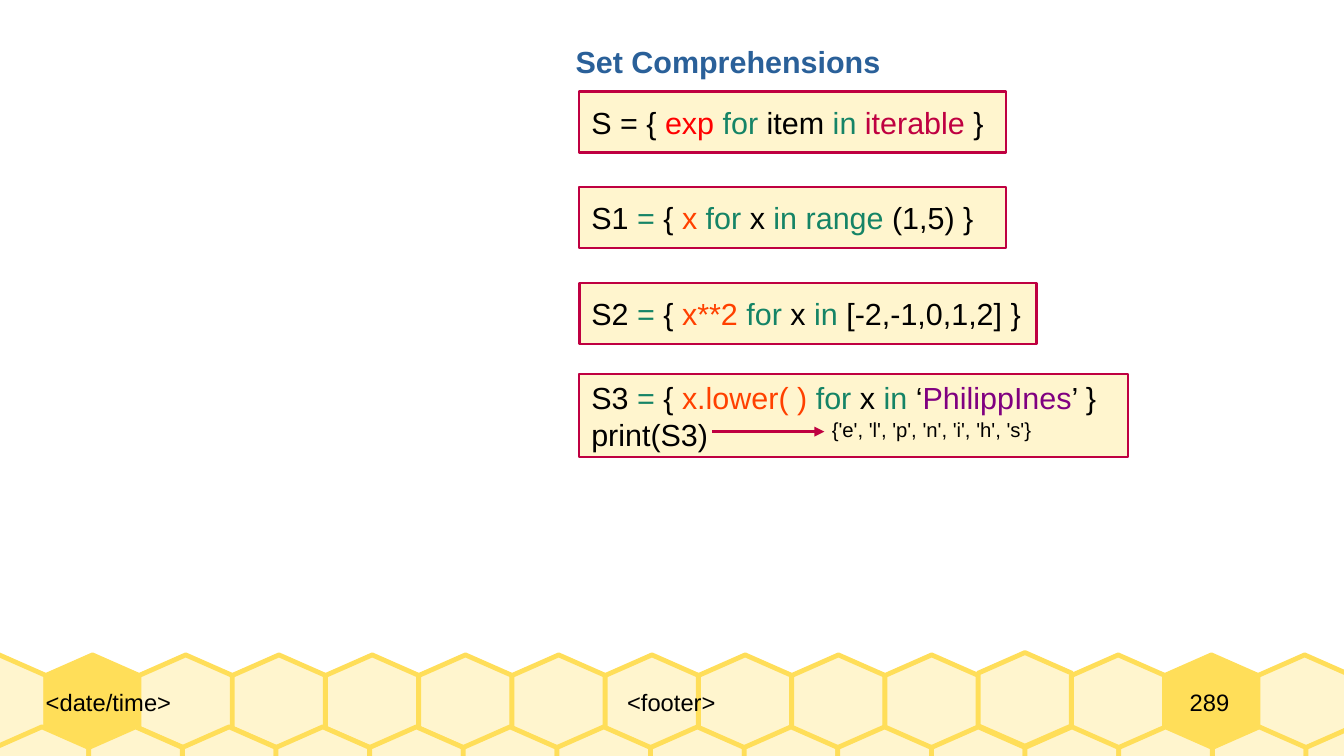
import pptx
import pptx.dml.color
import pptx.enum.shapes
import pptx.enum.text
import pptx.oxml
import pptx.oxml.ns
import pptx.util

Pt = pptx.util.Pt
ALIGN = pptx.enum.text.PP_ALIGN
ANCHOR = pptx.enum.text.MSO_ANCHOR

COLORS = {
    "black": "000000",
    "title": "2A6099",
    "cream": "FFF5CE",
    "honey": "FFDE59",
    "crimson": "BF0041",
    "red": "FF0000",
    "green": "158466",
    "orange": "FF4000",
    "purple": "800080",
}
SLIDE_WIDTH, SLIDE_HEIGHT = 793.44, 446.4
HEX_SIZE = 55.3

# Each code line is a list of (text, colour) pieces
ASSIGN = [(" = ", "green"), ("{ ", "black")]
FOR_X = [(" for", "green"), (" x ", "black")]
GENERAL_FORM = [
    ("S = { ", "black"), ("exp ", "red"), ("for", "green"), (" item ", "black"),
    ("in ", "green"), ("iterable", "crimson"), (" }", "black"),
]
RANGE_SET = [("S1", "black"), *ASSIGN, ("x", "orange"), *FOR_X,
             ("in range", "green"), (" (1,5) }", "black")]
SQUARES_SET = [("S2", "black"), *ASSIGN, ("x**2", "orange"), *FOR_X,
               ("in ", "green"), ("[-2,-1,0,1,2] }", "black")]
LETTERS_SET = [("S3", "black"), *ASSIGN, ("x.lower( )", "orange"), *FOR_X,
               ("in ", "green"), ("‘", "black"), ("PhilippInes", "purple"), ("’ }", "black")]
PRINT_CALL = [("print(S3)", "black")]


def rgb(name):
    return pptx.dml.color.RGBColor.from_string(COLORS[name])


def style_font(font, size, color="black", bold=False):
    font.name = "Arial"
    font.size = Pt(size)
    font.bold = bold
    font.color.rgb = rgb(color)


def paint(shape, fill, line, width):
    shape.shadow.inherit = False
    shape.fill.solid()
    shape.fill.fore_color.rgb = rgb(fill)
    shape.line.color.rgb = rgb(line)
    shape.line.width = Pt(width)


def set_frame(frame, anchor, side=7.2, edge=3.6):
    frame.word_wrap = True
    frame.auto_size = pptx.enum.text.MSO_AUTO_SIZE.NONE
    frame.vertical_anchor = anchor
    frame.margin_left = frame.margin_right = Pt(side)
    frame.margin_top = frame.margin_bottom = Pt(edge)


def add_hexagon(slide, left, top, fill):
    right, middle = left + HEX_SIZE, left + HEX_SIZE / 2
    upper, lower, bottom = top + 12.2, top + 43.2, top + HEX_SIZE
    outline = slide.shapes.build_freeform(Pt(middle), Pt(top))
    corners = [(left, upper), (left, lower), (middle, bottom), (right, lower), (right, upper)]
    outline.add_line_segments([(Pt(x), Pt(y)) for x, y in corners], close=True)
    paint(outline.convert_to_shape(), fill, "honey", 2.83)


def add_honeycomb(slide, left, top):
    for index in range(15):
        fill = "honey" if index in (1, 13) else "cream"
        lift = 1.4 if index == 11 else 0
        add_hexagon(slide, left + 55.05 * index, top - lift, fill)
    for index in range(15):
        add_hexagon(slide, left + 25.2 + 55.28 * index, top + 42.5, "cream")


def add_label(slide, box, text, size, align, anchor, side=0, edge=0):
    label = slide.shapes.add_textbox(*map(Pt, box)).text_frame
    set_frame(label, anchor, side, edge)
    label.text = text
    label.paragraphs[0].alignment = align
    style_font(label.paragraphs[0].runs[0].font, size)


def add_footer(slide, top):
    fields = [(27, 189, "<date/time>", ALIGN.LEFT),
              (216, 360.7, "<footer>", ALIGN.CENTER),
              (669, 90, "289", ALIGN.CENTER)]
    for left, width, text, align in fields:
        add_label(slide, (left, top, width, HEX_SIZE), text, 14, align, ANCHOR.MIDDLE)


def place_title(slide, left, top):
    title = slide.shapes.title
    title.left, title.top, title.width, title.height = map(Pt, (left, top, 210, 27.4))
    set_frame(title.text_frame, ANCHOR.TOP)
    title.text_frame.text = "Set Comprehensions"
    heading = title.text_frame.paragraphs[0]
    heading.alignment = ALIGN.LEFT
    style_font(heading.runs[0].font, 18, "title", bold=True)


def add_code_box(slide, left, top, width, height, lines):
    box = slide.shapes.add_shape(pptx.enum.shapes.MSO_SHAPE.RECTANGLE,
                                 *map(Pt, (left, top, width, height)))
    paint(box, "cream", "crimson", 1.42)
    set_frame(box.text_frame, ANCHOR.MIDDLE)
    for index, pieces in enumerate(lines):
        code = box.text_frame.add_paragraph() if index else box.text_frame.paragraphs[0]
        code.alignment = ALIGN.LEFT
        for text, color in pieces:
            run = code.add_run()
            run.text = text
            style_font(run.font, 18, color)


def add_arrow(slide, left, top, length):
    arrow = slide.shapes.add_connector(pptx.enum.shapes.MSO_CONNECTOR.STRAIGHT,
                                       *map(Pt, (left, top, left + length, top)))
    arrow.line.color.rgb = rgb("crimson")
    arrow.line.width = Pt(1.42)
    namespace = pptx.oxml.ns.nsdecls("a")
    arrow.line._get_or_add_ln().append(
        pptx.oxml.parse_xml(f'<a:tailEnd {namespace} type="triangle"/>'))
    arrow._element.spPr.append(pptx.oxml.parse_xml(f"<a:effectLst {namespace}/>"))


def add_examples(slide, left, top):
    # One-line comprehensions, evenly spaced
    one_liners = [(252, GENERAL_FORM), (252, RANGE_SET), (270, SQUARES_SET)]
    for index, (width, pieces) in enumerate(one_liners):
        add_code_box(slide, left, top + 56.6 * index, width, 36, [pieces])

    # Last example with its printed result
    last_top = top + 167
    add_code_box(slide, left, last_top, 324, 49, [LETTERS_SET, PRINT_CALL])
    add_label(slide, (left + 142, last_top + 21.6, 160, 21), "{'e', 'l', 'p', 'n', 'i', 'h', 's'}",
              12, ALIGN.LEFT, ANCHOR.TOP, side=7.2, edge=3.6)
    add_arrow(slide, left + 78.5, last_top + 33.9, 66.2)


def main():
    deck = pptx.Presentation()
    deck.slide_width, deck.slide_height = Pt(SLIDE_WIDTH), Pt(SLIDE_HEIGHT)
    slide = deck.slides.add_slide(deck.slide_layouts[5])
    band_top = 386.7
    add_honeycomb(slide, -28.1, band_top)
    add_footer(slide, band_top)
    place_title(slide, 332.6, 21.6)
    add_examples(slide, 342, 54)
    deck.save("out.pptx")


if __name__ == "__main__":
    main()
